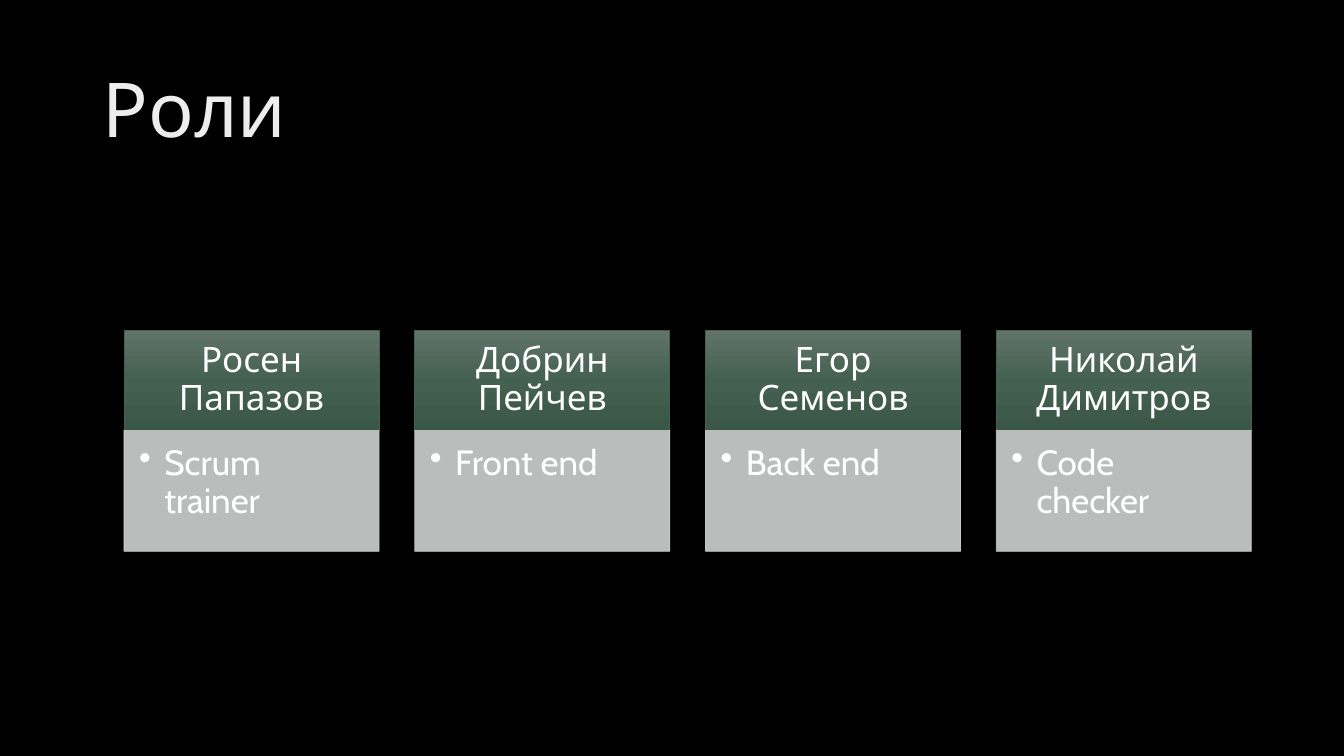
from dataclasses import dataclass

from lxml import etree
from pptx import Presentation
from pptx.dml.color import RGBColor
from pptx.enum import shapes, text
from pptx.oxml import ns
from pptx.util import Inches, Pt

FONT = "Cabin"
BLACK = RGBColor(0x00, 0x00, 0x00)
WHITE = RGBColor(0xFF, 0xFF, 0xFF)
GREEN = RGBColor(0x45, 0x5F, 0x51)
PALE_GRAY = RGBColor(0xCF, 0xD2, 0xD0)
HEADER_STOPS = [
    (0, RGBColor(0x61, 0x74, 0x69)),
    (50, RGBColor(0x44, 0x60, 0x51)),
    (100, RGBColor(0x3B, 0x57, 0x48)),
]
TITLE_STOPS = [
    (0, RGBColor(0xBF, 0xBF, 0xBF)),
    (28, RGBColor(0xED, 0xED, 0xED)),
    (100, WHITE),
]

CARD_LEFT, CARD_PITCH, CARD_WIDTH = 1.23, 2.884, 2.53
HEADER_TOP, HEADER_HEIGHT, DUTY_HEIGHT = 3.28, 0.99, 1.2


@dataclass
class Role:
    person: str
    duty: str


ROLES = [
    Role("Росен Папазов", "Scrum trainer"),
    Role("Добрин Пейчев", "Front end"),
    Role("Егор Семенов", "Back end"),
    Role("Николай Димитров", "Code checker"),
]


def set_gradient(fill, element, stops: list, angle: float) -> None:
    """Fill with any number of stops; the angle runs clockwise."""
    fill.gradient()
    fill.gradient_angle = 360 - angle
    stop_list = element.find(".//" + ns.qn("a:gsLst"))
    for old_stop in list(stop_list):
        stop_list.remove(old_stop)
    for percent, color in stops:
        stop = etree.SubElement(stop_list, ns.qn("a:gs"), pos=str(percent * 1000))
        etree.SubElement(stop, ns.qn("a:srgbClr"), val=str(color))


def set_opacity(element, percent: int) -> None:
    for color in element.iter(ns.qn("a:srgbClr")):
        etree.SubElement(color, ns.qn("a:alpha"), val=str(percent * 1000))


def add_box(slide, left: float, top: float, height: float, line: RGBColor):
    box = slide.shapes.add_shape(
        shapes.MSO_SHAPE.RECTANGLE,
        Inches(left), Inches(top), Inches(CARD_WIDTH), Inches(height),
    )
    box.shadow.inherit = False
    box.line.color.rgb = line
    box.line.width = Pt(0.5)
    return box


def write(box, wording: str, size: float, margins: tuple, anchor, align):
    frame = box.text_frame
    frame.text = wording
    frame.word_wrap = True
    frame.auto_size = text.MSO_AUTO_SIZE.NONE
    frame.vertical_anchor = anchor
    (frame.margin_left, frame.margin_top,
     frame.margin_right, frame.margin_bottom) = map(Inches, margins)
    paragraph = frame.paragraphs[0]
    paragraph.alignment = align
    paragraph.line_spacing = 0.9
    font = paragraph.runs[0].font
    font.name, font.size = FONT, Pt(size)
    font.color.rgb = WHITE
    return paragraph


def add_bullet(paragraph, indent: float) -> None:
    properties = paragraph._p.get_or_add_pPr()
    properties.set("marL", str(Inches(indent)))
    properties.set("indent", str(-Inches(indent)))
    etree.SubElement(properties, ns.qn("a:buChar"), char="•")


def add_card(slide, left: float, role: Role) -> None:
    # Name on the green header
    header = add_box(slide, left, HEADER_TOP, HEADER_HEIGHT, GREEN)
    set_gradient(header.fill, header.element, HEADER_STOPS, 90)
    write(header, role.person, 25, (0.19, 0.11, 0.19, 0.11),
          text.MSO_ANCHOR.MIDDLE, text.PP_ALIGN.CENTER)

    # Duty on the translucent panel
    panel = add_box(slide, left, HEADER_TOP + HEADER_HEIGHT, DUTY_HEIGHT, PALE_GRAY)
    panel.fill.solid()
    panel.fill.fore_color.rgb = PALE_GRAY
    set_opacity(panel.element, 90)
    duty = write(panel, role.duty, 25, (0.15, 0.15, 0.19, 0.22),
                 text.MSO_ANCHOR.TOP, text.PP_ALIGN.LEFT)
    add_bullet(duty, 0.25)


def main() -> None:
    deck = Presentation()
    deck.slide_width, deck.slide_height = Inches(13.33), Inches(7.5)
    slide = deck.slides.add_slide(deck.slide_layouts.get_by_name("Title Only"))
    slide.background.fill.solid()
    slide.background.fill.fore_color.rgb = BLACK

    # Title
    title = slide.shapes.title
    title.left, title.top = Inches(0.92), Inches(0.4)
    title.width, title.height = Inches(11.5), Inches(1.45)
    heading = write(title, "Роли", 54, (0.1, 0.05, 0.1, 0.05),
                    text.MSO_ANCHOR.MIDDLE, text.PP_ALIGN.LEFT)
    set_gradient(heading.runs[0].font.fill, title.element, TITLE_STOPS, 80)

    # Role cards
    for index, role in enumerate(ROLES):
        add_card(slide, CARD_LEFT + index * CARD_PITCH, role)

    deck.save("out.pptx")


if __name__ == "__main__":
    main()
